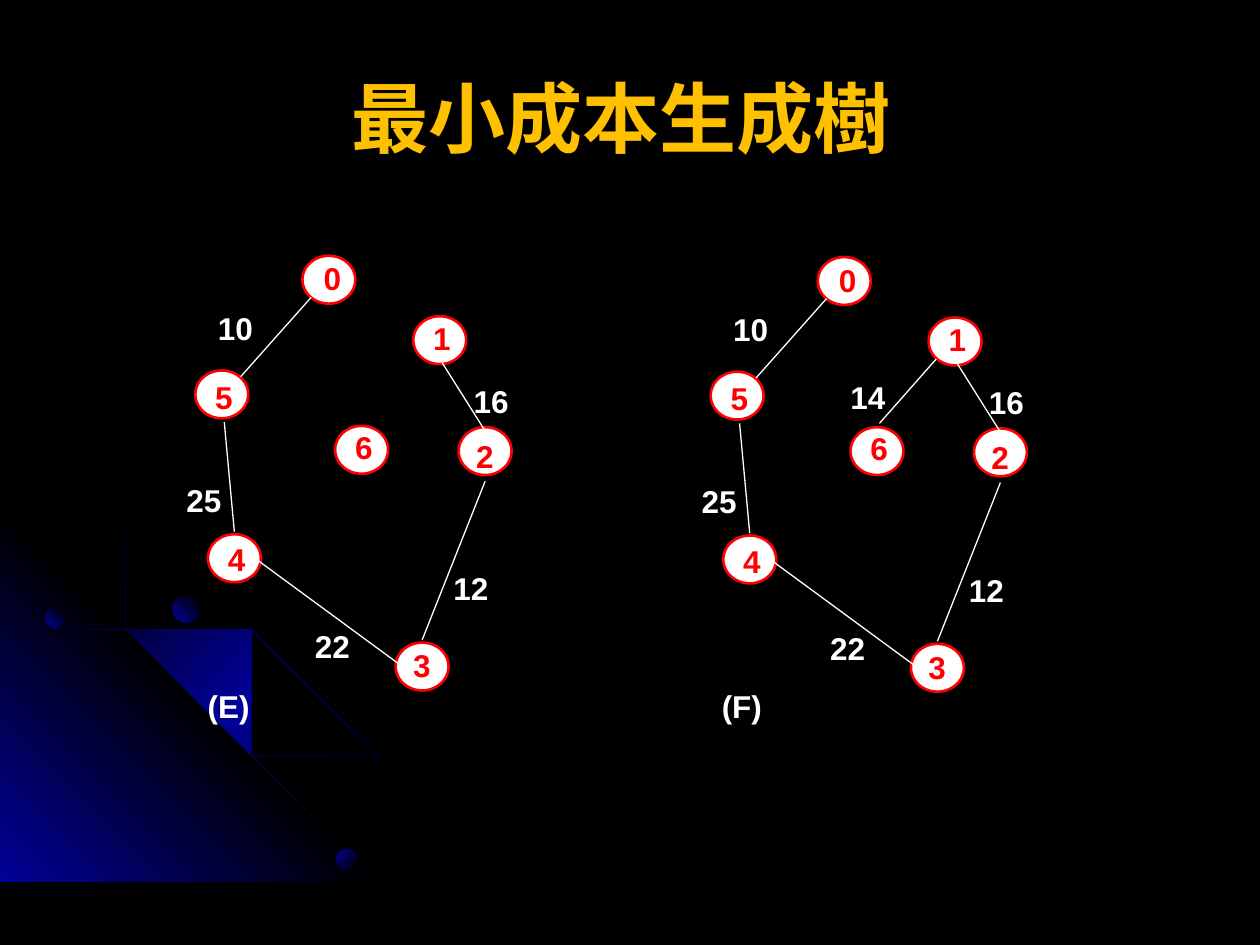
from lxml.etree import SubElement
from pptx import Presentation
from pptx.dml.color import RGBColor
from pptx.enum.shapes import MSO_CONNECTOR as Connector, MSO_SHAPE as Shape
from pptx.enum.text import MSO_ANCHOR as Anchor, MSO_AUTO_SIZE as AutoSize, PP_ALIGN as Align
from pptx.oxml.ns import qn
from pptx.util import Inches, Pt

BLACK = RGBColor(0x00, 0x00, 0x00)
BLUE = RGBColor(0x01, 0x01, 0x99)
WHITE = RGBColor(0xFF, 0xFF, 0xFF)
RED = RGBColor(0xFF, 0x00, 0x00)
GOLD = RGBColor(0xFF, 0xC0, 0x00)
FONT = "Arial"

TITLE = "最小成本生成樹 "
NODE_SIZE = (0.42, 0.38)
DIGIT_WIDTH, WEIGHT_WIDTH, TEXT_HEIGHT = 0.34, 0.48, 0.4

# label, left and top of the circle, left and top of its digit
NODES = [
    ("0", (2.40, 2.03), (2.47, 2.01)),
    ("1", (3.28, 2.51), (3.34, 2.48)),
    ("5", (1.55, 2.94), (1.61, 2.95)),
    ("2", (3.64, 3.39), (3.68, 3.42)),
    ("6", (2.66, 3.38), (2.72, 3.35)),
    ("3", (3.14, 5.10), (3.18, 5.08)),
    ("4", (1.65, 4.24), (1.71, 4.24)),
]
# weight, start, end, left and top of the weight
EDGES = [
    ("10", (2.47, 2.36), (1.91, 2.99), (1.63, 2.40)),
    ("25", (1.78, 3.35), (1.86, 4.22), (1.38, 3.77)),
    ("22", (2.05, 4.45), (3.18, 5.28), (2.40, 4.93)),
    ("12", (3.85, 3.82), (3.35, 5.08), (3.50, 4.47)),
    ("16", (3.51, 2.88), (3.85, 3.42), (3.66, 2.98)),
]
ADDED_EDGE = ("14", (3.34, 2.84), (2.89, 3.35), (2.56, 2.94))
# caption, its left, top and width, shift of the graph, edges
GRAPHS = [
    ("(E)", (1.55, 5.4), 0.53, (0, 0), EDGES),
    ("(F)", (5.63, 5.4), 0.52, (4.09, 0.01), EDGES + [ADDED_EDGE]),
]

BAND_STOPS = [(0, BLACK), (50, BLUE), (100, BLACK)]
GLOW_STOPS = [(0, BLUE), (50, BLACK), (100, BLUE)]
DOT_STOPS = [(0, BLUE), (100, BLACK)]
OUTER_BAND = [
    (0.57, 4.47), (0.28, 4.41), (0, 4.35), (0, 4.38), (0.28, 4.43), (0.56, 4.49),
    (0.97, 4.61), (1.35, 4.78), (1.73, 4.99), (2.08, 5.23), (2.41, 5.49), (2.71, 5.79),
    (2.98, 6.12), (3.23, 6.49), (3.37, 6.73), (3.5, 6.98), (3.6, 7.23), (3.7, 7.49),
    (3.72, 7.49), (3.62, 7.23), (3.52, 6.98), (3.39, 6.73), (3.25, 6.48), (3, 6.11),
    (2.72, 5.78), (2.42, 5.48), (2.09, 5.21), (1.74, 4.97), (1.36, 4.77), (0.98, 4.59),
]
INNER_BAND = [
    (2.85, 7.14), (2.94, 7.32), (3.01, 7.49), (3.03, 7.49), (2.96, 7.3), (2.86, 7.12),
    (2.66, 6.76), (2.42, 6.4), (2.15, 6.06), (1.84, 5.76), (1.52, 5.49), (1.17, 5.26),
    (0.79, 5.05), (0.41, 4.88), (0, 4.75), (0, 4.77), (0.39, 4.9), (0.77, 5.07),
    (1.15, 5.28), (1.5, 5.51), (1.83, 5.78), (2.13, 6.08), (2.4, 6.41), (2.65, 6.77),
]
MIDDLE_BAND = [
    (0, 4.42), (0, 4.44), (0.36, 4.57), (0.74, 4.75), (1.09, 4.94), (1.42, 5.18),
    (1.73, 5.44), (2.02, 5.75), (2.27, 6.05), (2.52, 6.41), (2.67, 6.67), (2.8, 6.94),
    (2.92, 7.22), (3.01, 7.49), (3.03, 7.49), (2.94, 7.2), (2.82, 6.93), (2.69, 6.65),
    (2.54, 6.39), (2.29, 6.03), (2.04, 5.73), (1.75, 5.43), (1.44, 5.16), (1.11, 4.93),
    (0.76, 4.73), (0.39, 4.55),
]
CORNER = [(3.22, 7.49), (0, 7.49), (0, 4.27)]
# outline, gradient stops, clockwise angle
SWEEPS = [
    (OUTER_BAND, BAND_STOPS, 45),
    (CORNER, GLOW_STOPS, 315),
    (INNER_BAND, BAND_STOPS, 45),
    (MIDDLE_BAND, BAND_STOPS, 45),
]
# left, top, diameter, clockwise angle
DOTS = [(0.36, 4.83, 0.15, 315), (2.67, 6.74, 0.16, 45), (1.37, 4.73, 0.21, 315)]


def fill_gradient(shape, stops, angle):
    """Give a borderless shape a linear gradient with any number of stops."""
    shape.shadow.inherit = False
    shape.line.fill.background()
    shape.fill.gradient()
    gradient = shape._element.spPr.find(qn("a:gradFill"))
    for child in list(gradient):
        gradient.remove(child)
    stop_list = SubElement(gradient, qn("a:gsLst"))
    for percent, color in stops:
        stop = SubElement(stop_list, qn("a:gs"), pos=str(percent * 1000))
        SubElement(stop, qn("a:srgbClr"), val=str(color))
    SubElement(gradient, qn("a:lin"), ang=str(angle * 60000), scaled="1")


def add_oval(shapes, left, top, width, height):
    """Add an ellipse without a shadow."""
    oval = shapes.add_shape(Shape.OVAL, Inches(left), Inches(top), Inches(width), Inches(height))
    oval.shadow.inherit = False
    return oval


def add_text(shapes, text, left, top, width, height=TEXT_HEIGHT, color=WHITE, size=18):
    """Add a bold one-line text box and return it."""
    box = shapes.add_textbox(Inches(left), Inches(top), Inches(width), Inches(height))
    box.text_frame.word_wrap = False
    box.text_frame.auto_size = AutoSize.SHAPE_TO_FIT_TEXT
    span = box.text_frame.paragraphs[0].add_run()
    span.text = text
    span.font.name, span.font.size, span.font.bold = FONT, Pt(size), True
    span.font.color.rgb = color
    return box


def add_edge(shapes, start, end):
    """Add a thin white line between two points."""
    edge = shapes.add_connector(Connector.STRAIGHT, *(Inches(v) for v in start + end))
    edge.line.color.rgb = WHITE
    edge.line.width = Pt(0.75)
    SubElement(edge._element.spPr, qn("a:effectLst"))


def add_backdrop(shapes):
    """Add the glowing corner, its bands and its dots."""
    for outline, stops, angle in SWEEPS:
        builder = shapes.build_freeform(*outline[0], scale=Inches(1))
        builder.add_line_segments(outline[1:], close=True)
        fill_gradient(builder.convert_to_shape(), stops, angle)
    for left, top, diameter, angle in DOTS:
        fill_gradient(add_oval(shapes, left, top, diameter, diameter), DOT_STOPS, angle)


def add_graph(shapes, shift, edges):
    """Add the nodes and weighted edges of one graph, moved by shift."""
    def moved(point):
        """Return the point moved by the shift of this graph."""
        return point[0] + shift[0], point[1] + shift[1]

    for label, corner, digit in NODES:
        node = add_oval(shapes, *moved(corner), *NODE_SIZE)
        node.fill.solid()
        node.fill.fore_color.rgb = WHITE
        node.line.color.rgb = RED
        node.line.width = Pt(1.5)
        add_text(shapes, label, *moved(digit), DIGIT_WIDTH, color=RED)
    for weight, start, end, place in edges:
        add_edge(shapes, moved(start), moved(end))
        add_text(shapes, weight, *moved(place), WEIGHT_WIDTH)


deck = Presentation()
deck.slide_width, deck.slide_height = Inches(10), Inches(7.5)
page = deck.slides.add_slide(deck.slide_layouts[6])
page.background.fill.solid()
page.background.fill.fore_color.rgb = BLACK

add_backdrop(page.shapes)
for caption, place, width, shift, edges in GRAPHS:
    add_text(page.shapes, caption, *place, width)
    add_graph(page.shapes.add_group_shape().shapes, shift, edges)

title = add_text(page.shapes, TITLE, 0.5, 0.3, 9, 1.25, GOLD, 44).text_frame
title.word_wrap = True
title.auto_size = AutoSize.NONE
title.vertical_anchor = Anchor.MIDDLE
title.paragraphs[0].alignment = Align.CENTER

deck.save("out.pptx")
